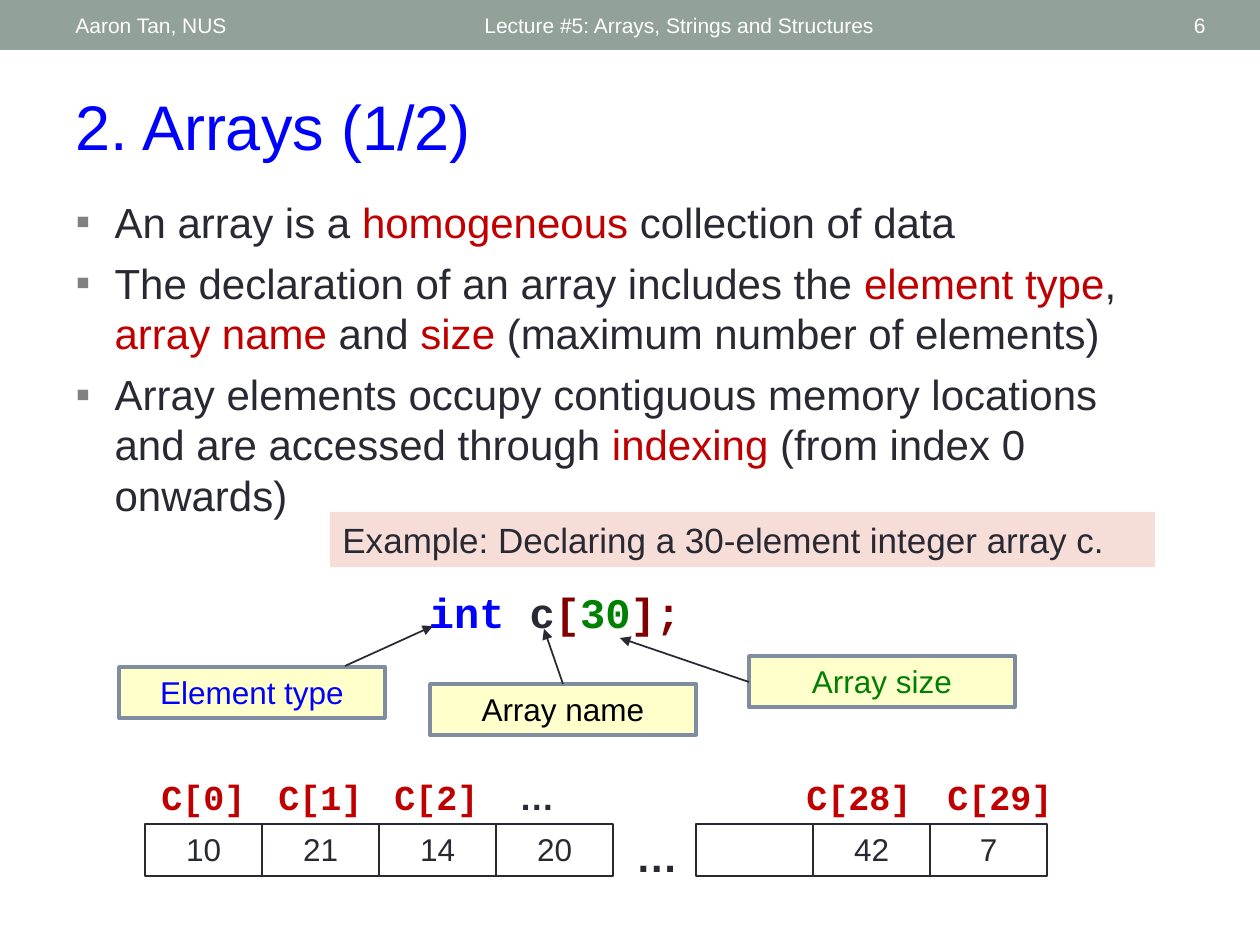
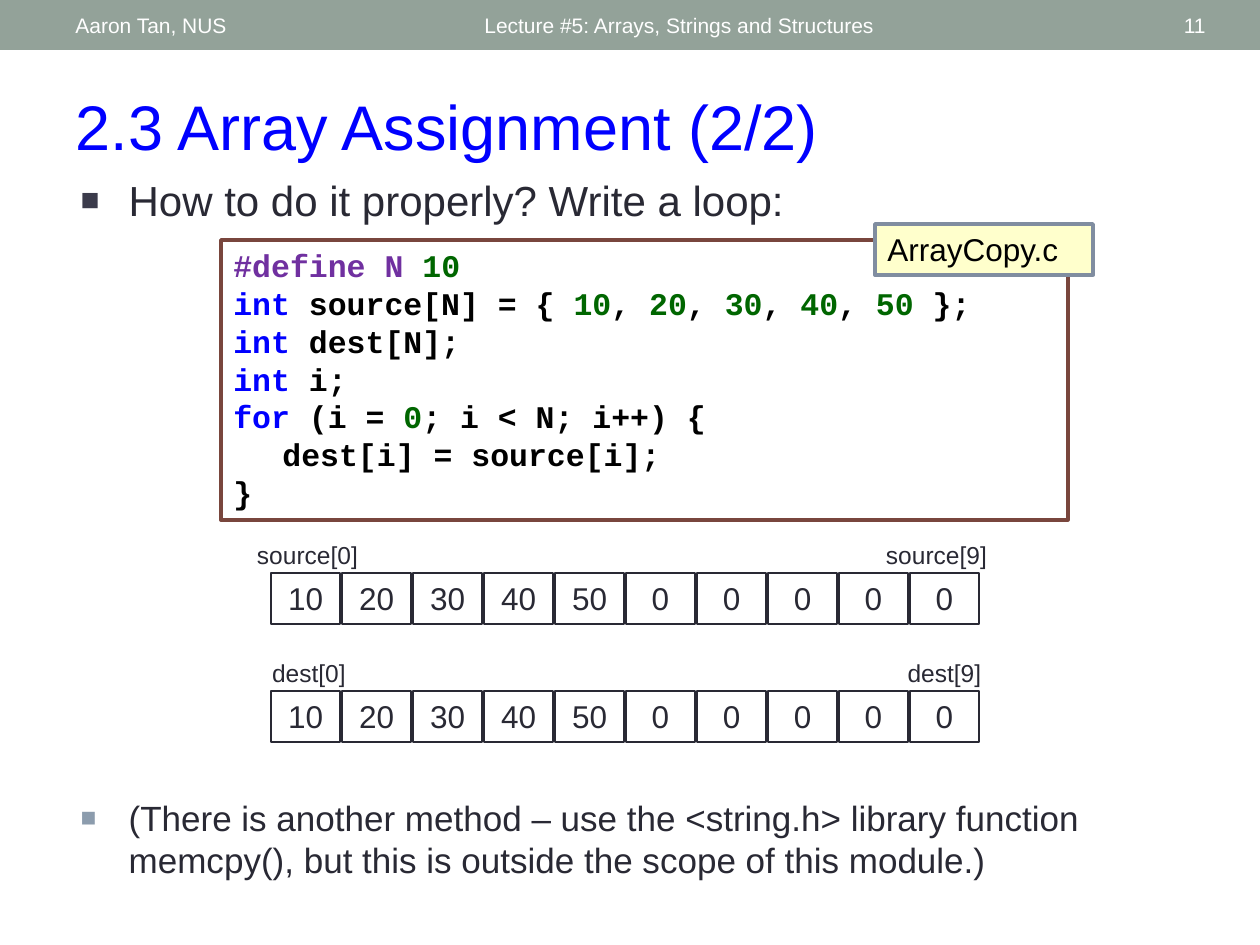
from lxml import etree
from pptx import Presentation
from pptx.dml.color import RGBColor
from pptx.enum.shapes import MSO_CONNECTOR, MSO_SHAPE
from pptx.enum.text import MSO_ANCHOR as ANCHOR, MSO_AUTO_SIZE as AUTO, PP_ALIGN as ALIGN
from pptx.oxml.ns import qn
from pptx.util import Emu, Pt

PX = 914400 / 126

WHITE, BLACK = RGBColor(255, 255, 255), RGBColor(0, 0, 0)
INK = RGBColor(0x29, 0x29, 0x34)
BAND = RGBColor(0x93, 0xA2, 0x99)
BLUE = RGBColor(0, 0, 0xFF)
RED = RGBColor(0xC0, 0, 0)
MAROON = RGBColor(0x80, 0, 0)
GREEN = RGBColor(0, 0x80, 0)
NUMBER = RGBColor(0, 0x66, 0)
PURPLE = RGBColor(0x70, 0x30, 0xA0)
YELLOW = RGBColor(0xFF, 0xFF, 0xCC)
SLATE = RGBColor(0x80, 0x8D, 0xA0)
PINK = RGBColor(0xF6, 0xDD, 0xD8)
BROWN = RGBColor(0x79, 0x46, 0x3D)
SANS, MONO = "Arial", "Courier New"


def write(frame, paragraphs, size, font=SANS, align=ALIGN.LEFT, anchor=ANCHOR.TOP):
    """Fill a frame with paragraphs, each a list of (text, colour) runs."""
    frame.word_wrap = True
    frame.auto_size = AUTO.NONE
    frame.vertical_anchor = anchor
    for i, pieces in enumerate(paragraphs):
        line = frame.paragraphs[0] if i == 0 else frame.add_paragraph()
        line.alignment = align
        for text, colour in pieces:
            run = line.add_run()
            run.text = text
            run.font.size, run.font.name = Pt(size), font
            run.font.bold = font == MONO
            run.font.color.rgb = colour
    return frame


def box(slide, rect, fill=None, border=None, width=1):
    """Add a rectangle in px and return its text frame."""
    shape = slide.shapes.add_shape(MSO_SHAPE.RECTANGLE, *[Emu(round(v * PX)) for v in rect])
    shape.shadow.inherit = False
    if fill is None:
        shape.fill.background()
    else:
        shape.fill.solid()
        shape.fill.fore_color.rgb = fill
    if border is None:
        shape.line.fill.background()
    else:
        shape.line.color.rgb = border
        shape.line.width = Pt(width)
    return shape.text_frame


deck = Presentation()
deck.slide_width, deck.slide_height = Emu(round(1260 * PX)), Emu(round(945 * PX))

# Shared header band, title and bulleted lists
# Each list: rect, size, space before, indent, bullet, bullet colour, bullet size, paragraphs
pages = [
    (1, "6", "2. Arrays (1/2)", [
        ((63, 190, 1104, 339), 24, 6, 39, "▪", "808080", 100, [
            [("An array is a ", INK), ("homogeneous", RED), (" collection of data", INK)],
            [("The declaration of an array includes the ", INK), ("element type", RED), (", ", INK),
             ("array name ", RED), ("and ", INK), ("size", RED),
             (" (maximum number of elements)", INK)],
            [("Array elements occupy contiguous memory locations and are accessed through ", INK),
             ("indexing", RED), (" (from index 0 onwards)", INK)],
        ]),
    ]),
    (3, "11", "2.3 Array Assignment (2/2)", [
        ((68, 168, 1120, 106), 24, 12, 48, "■", "3B3B4B", 75,
         [[("How to do it properly? Write a loop:", INK)]]),
        ((68, 790, 1120, 113), 20, 12, 48, "■", "8C9CAD", 75,
         [[("(There is another method – use the <string.h> library function memcpy(), "
            "but this is outside the scope of this module.)", INK)]]),
    ]),
]
for layout, number, title, lists in pages:
    slide = deck.slides.add_slide(deck.slide_layouts[layout])
    box(slide, (0, 0, 1260, 50), BAND)
    for text, left, width, align in [
        ("Lecture #5: Arrays, Strings and Structures", 472, 567, ALIGN.LEFT),
        ("Aaron Tan, NUS", 63, 399, ALIGN.LEFT),
        (number, 1099, 119, ALIGN.RIGHT),
    ]:
        write(box(slide, (left, 3, width, 45)), [[(text, WHITE)]], 12,
              align=align, anchor=ANCHOR.MIDDLE)

    heading, *bodies = slide.placeholders
    spots = [(63, 81, 1134, 89)] + [item[0] for item in lists]
    for holder, spot in zip([heading, *bodies], spots):
        holder.left, holder.top, holder.width, holder.height = [Emu(round(v * PX)) for v in spot]
    write(heading.text_frame, [[(title, BLUE)]], 36)

    for body, (_, size, before, indent, mark, mark_colour, mark_size, items) in zip(bodies, lists):
        for line in write(body.text_frame, items, size).paragraphs:
            line.space_before = Pt(before)
            props = line._p.get_or_add_pPr()
            props.set("marL", str(round(indent * PX)))
            props.set("indent", str(round(-indent * PX)))
            tint = etree.SubElement(props, qn("a:buClr"))
            etree.SubElement(tint, qn("a:srgbClr"), val=mark_colour)
            etree.SubElement(props, qn("a:buSzPct"), val=str(mark_size * 1000))
            etree.SubElement(props, qn("a:buFont"), typeface=SANS)
            etree.SubElement(props, qn("a:buChar"), char=mark)

arrays, assignment = deck.slides

# Declaration and its labelled parts
write(box(arrays, (391, 580, 328, 64)),
      [[("int ", BLUE), ("c", INK), ("[", MAROON), ("30", GREEN), ("];", MAROON)]],
      24, MONO, ALIGN.CENTER)
for part, colour, left, top, start, end in [
    ("Array name", BLACK, 430, 684, (563, 684), (544, 629)),
    ("Element type", BLUE, 119, 667, (345, 666), (433, 626)),
    ("Array size", GREEN, 749, 656, (749, 682), (620, 638)),
]:
    write(box(arrays, (left, top, 266, 51), YELLOW, SLATE, 2.08),
          [[(part, colour)]], 18, align=ALIGN.CENTER)
    arrow = arrays.shapes.add_connector(
        MSO_CONNECTOR.STRAIGHT, *[Emu(round(v * PX)) for v in (*start, *end)])
    arrow.line.color.rgb = INK
    arrow.line.width = Pt(1)
    etree.SubElement(arrow.line._get_or_add_ln(), qn("a:tailEnd"), type="triangle")
    etree.SubElement(arrow._element.spPr, qn("a:effectLst"))

# Memory cells on both sides of the gap
for start, values in [(145, ["10", "21", "14", "20"]), (696, ["", "42", "7"])]:
    for i, value in enumerate(values):
        cell = box(arrays, (start + 117 * i, 824, 117, 52), border=INK)
        if value:
            write(cell, [[(value, INK)]], 18, align=ALIGN.CENTER)
write(box(arrays, (620, 824, 74, 49)), [[("…", INK)]], 24, align=ALIGN.CENTER)
arrays.shapes[-1].text_frame.paragraphs[0].runs[0].font.bold = True

# Index labels above the cells
for index, left, width in [("C[0]", 145, 117), ("C[1]", 262, 117), ("C[2]", 378, 117),
                           ("C[28]", 789, 140), ("C[29]", 930, 140)]:
    write(box(arrays, (left, 769, width, 55)), [[(index, RED)]], 20, MONO, ALIGN.CENTER)
write(box(arrays, (503, 769, 68, 55)), [[("…", INK)]], 20, align=ALIGN.CENTER)
arrays.shapes[-1].text_frame.paragraphs[0].runs[0].font.bold = True

write(box(arrays, (330, 512, 825, 55), PINK),
      [[("Example: Declaring a 30-element integer array c.", INK)]], 20)

# Source and destination arrays
for name, label_top, first, last in [
    ("source", 534, (242, 131), (869, 135)),
    ("dest", 652, (259, 100), (894, 101)),
]:
    for index, (left, width) in [(0, first), (9, last)]:
        write(box(assignment, (left, label_top, width, 43)),
              [[(f"{name}[{index}]", INK)]], 14, align=ALIGN.CENTER)
    for i, value in enumerate([10, 20, 30, 40, 50] + [0] * 5):
        write(box(assignment, (271 + 71 * i, label_top + 39, 69, 51), WHITE, INK, 0.75),
              [[(str(value), INK)]], 18, align=ALIGN.CENTER)

# Copy loop listing
initial_values = [("10", NUMBER)]
for value in ("20", "30", "40", "50"):
    initial_values += [(", ", BLACK), (value, NUMBER)]
listing = write(box(assignment, (221, 240, 847, 280), WHITE, BROWN, 2.08), [
    [("#define N ", PURPLE), ("10", NUMBER)],
    [("int ", BLUE), ("source[N] = { ", BLACK), *initial_values, (" };", BLACK)],
    [("int ", BLUE), ("dest[N];", BLACK)],
    [("int ", BLUE), ("i;", BLACK)],
    [("for", BLUE), (" (i = ", BLACK), ("0", NUMBER), ("; i < N; i++) {", BLACK)],
    [("\tdest[i] = source[i];", BLACK)],
    [("}", BLACK)],
], 18, MONO)
for line in listing.paragraphs:
    stops = etree.SubElement(line._p.get_or_add_pPr(), qn("a:tabLst"))
    etree.SubElement(stops, qn("a:tab"), pos=str(round(49 * PX)), algn="l")
write(box(assignment, (875, 224, 218, 51), YELLOW, SLATE, 2.08), [[("ArrayCopy.c", BLACK)]], 18)

deck.save("out.pptx")
